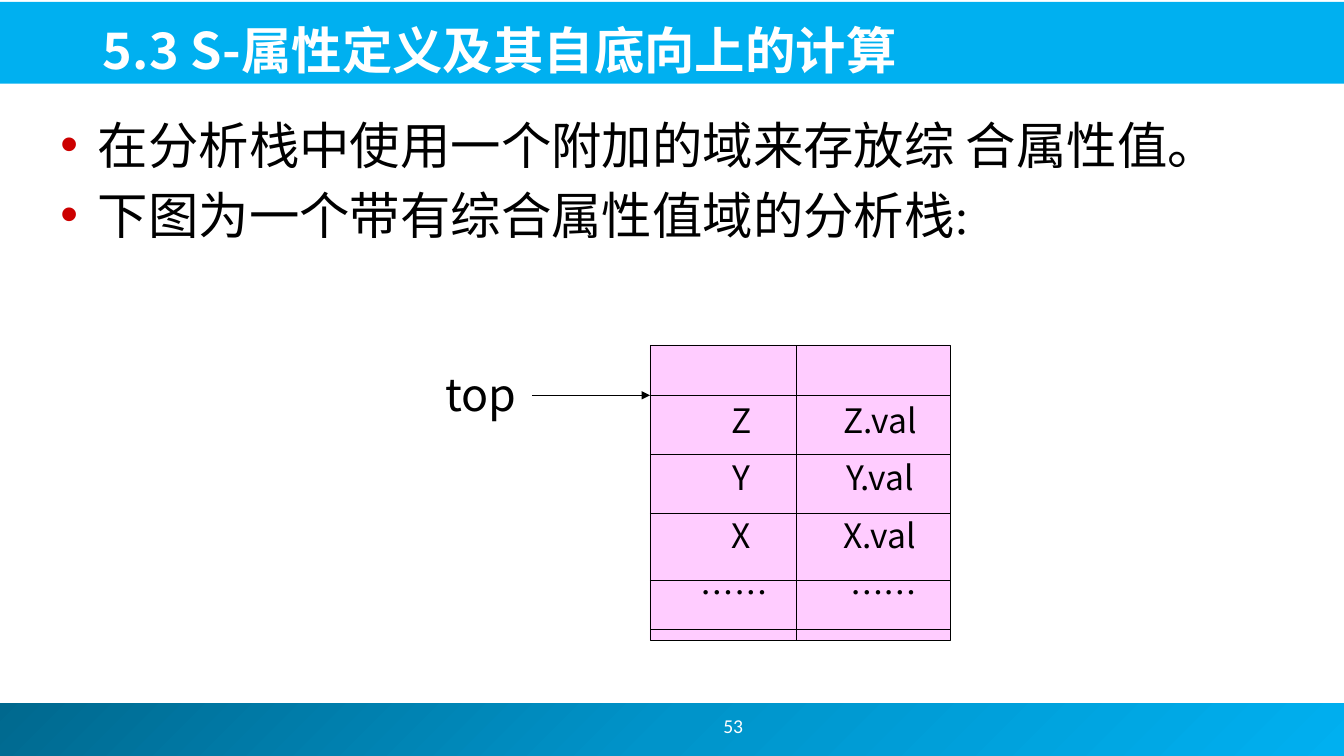
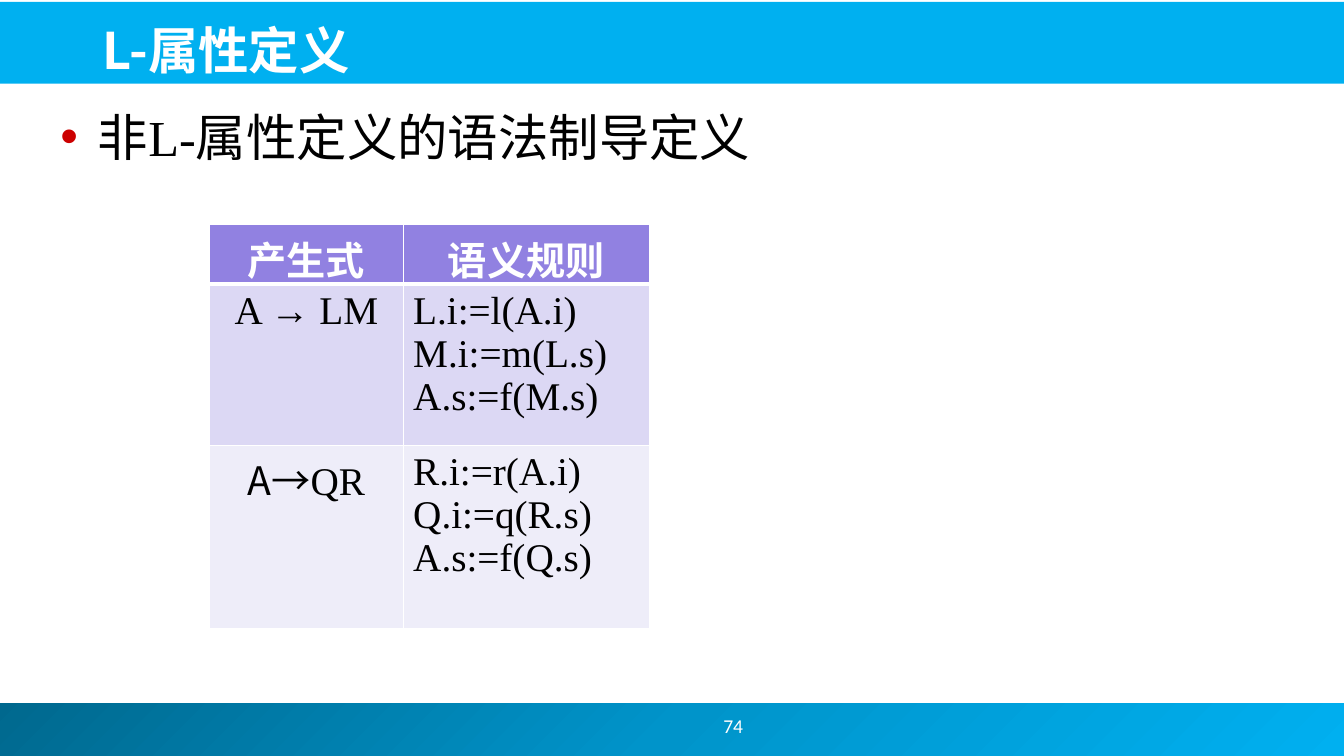
from copy import deepcopy
from dataclasses import dataclass

from lxml.etree import SubElement
from pptx import Presentation
from pptx.dml.color import RGBColor
from pptx.enum.shapes import MSO_CONNECTOR, MSO_SHAPE
from pptx.enum.text import MSO_ANCHOR, MSO_AUTO_SIZE, PP_ALIGN
from pptx.oxml.ns import qn
from pptx.util import Cm, Pt

LEFT, CENTER = PP_ALIGN.LEFT, PP_ALIGN.CENTER
TOP, MIDDLE, BOTTOM = MSO_ANCHOR.TOP, MSO_ANCHOR.MIDDLE, MSO_ANCHOR.BOTTOM
NO_AUTOFIT = MSO_AUTO_SIZE.NONE
RECTANGLE = MSO_SHAPE.RECTANGLE
STRAIGHT = MSO_CONNECTOR.STRAIGHT
TITLE_ONLY = 5


@dataclass(frozen=True)
class Theme:
    black: str = "000000"
    white: str = "FFFFFF"
    band: str = "00B0F0"
    footer: tuple = ((0, "00688E"), (0.5, "0094CA"), (1, "00B0F0"))
    bullet: str = "CC0000"
    stack: str = "FFCCFF"
    table_rows: tuple = ("9181E1", "DCD8F4", "EEEDF9")
    sans: str = "Noto Sans CJK JP"
    serif: str = "Times New Roman"
    number: str = "Calibri"
    title_pt: int = 36
    body_pt: int = 36
    pointer_pt: int = 32
    table_pt: int = 28
    stack_pt: int = 24
    number_pt: int = 14


T = Theme()


def rgb(value):
    return RGBColor.from_string(value)


def format_run(r, size, font, color=T.black, bold=False):
    r.font.size, r.font.name, r.font.bold = Pt(size), font, bold
    r.font.color.rgb = rgb(color)
    SubElement(r.font._element, qn("a:ea")).set("typeface", T.sans)


def space_before(p, percent):
    spacing = SubElement(p._p.get_or_add_pPr(), qn("a:spcBef"))
    SubElement(spacing, qn("a:spcPct")).set("val", str(percent * 1000))


def add_bullet(p):
    pPr = p._p.get_or_add_pPr()
    pPr.set("marL", str(Cm(0.95)))
    pPr.set("indent", str(-Cm(0.95)))
    color = SubElement(pPr, qn("a:buClr"))
    SubElement(color, qn("a:srgbClr")).set("val", T.bullet)
    SubElement(pPr, qn("a:buFont")).set("typeface", "Arial")
    SubElement(pPr, qn("a:buChar")).set("char", "•")


def set_text(tf, lines, size, font, color=T.black, align=LEFT, bold=False,
             gap=0, bullets=False, indents=()):
    """Fill a text frame; gap is the space between paragraphs in percent."""
    tf.text = "\n".join(lines)
    for i, p in enumerate(tf.paragraphs):
        p.alignment = align
        if gap and i:
            space_before(p, gap)
        if bullets:
            add_bullet(p)
        if indents:
            p._p.get_or_add_pPr().set("marL", str(Cm(indents[i])))
        for r in p.runs:
            format_run(r, size, font, color, bold)


def add_text(slide, box, lines, size, font, anchor=TOP, **style):
    tf = slide.shapes.add_textbox(*map(Cm, box)).text_frame
    tf.word_wrap, tf.vertical_anchor = True, anchor
    set_text(tf, lines, size, font, **style)


def add_rect(slide, box, fill=None, line=None):
    sp = slide.shapes.add_shape(RECTANGLE, *map(Cm, box))
    sp.shadow.inherit = False
    if fill:
        sp.fill.solid()
        sp.fill.fore_color.rgb = rgb(fill)
    else:
        sp.fill.background()
    if line:
        sp.line.color.rgb = rgb(line)
        sp.line.width = Pt(0.25)
    else:
        sp.line.fill.background()
    return sp


def add_line(slide, start, end, arrow=False):
    line = slide.shapes.add_connector(STRAIGHT, *map(Cm, start + end))
    line.line.color.rgb = rgb(T.black)
    line.line.width = Pt(0.75)
    if arrow:
        SubElement(line.line._get_or_add_ln(), qn("a:tailEnd")).set("type", "triangle")
    SubElement(line._element.spPr, qn("a:effectLst"))


def add_bands(slide):
    """Draw the title and footer bands and move them to the slide's layout."""
    title = add_rect(slide, (-0.05, 0.05, 33.93, 2.06), T.band)
    footer = add_rect(slide, (-0.13, 17.72, 34.01, 1.33))
    footer.fill.gradient()
    footer.fill.gradient_angle = 315
    stops = footer._element.spPr.find(".//" + qn("a:gsLst"))
    stops.insert(1, deepcopy(stops[0]))
    for stop, (position, color) in zip(footer.fill.gradient_stops, T.footer):
        stop.position = position
        stop.color.rgb = rgb(color)
    tree = slide.slide_layout.shapes.element
    for sp in (title, footer):
        tree.insert(2, sp._element)


def add_slide(prs, title, number):
    slide = prs.slides.add_slide(prs.slide_layouts[TITLE_ONLY])
    sp = slide.shapes.title
    sp.left, sp.top, sp.width, sp.height = map(Cm, (2.34, 0.13, 30.4, 2))
    tf = sp.text_frame
    tf.auto_size, tf.vertical_anchor = NO_AUTOFIT, BOTTOM
    set_text(tf, [title], T.title_pt, T.sans, T.white, bold=True)
    add_text(slide, (14.81, 17.65, 7.34, 1.27), [number], T.number_pt, T.number,
             MIDDLE, color=T.white, align=CENTER)
    return slide


def add_body(slide, box, lines):
    add_text(slide, box, lines, T.body_pt, T.serif, gap=20, bullets=True)


def add_stack(slide):
    left, middle, right = 16.38, 20.07, 23.95
    top, bottom = 8.69, 16.13
    rows = (9.96, 11.46, 12.93, 14.63)
    columns_bottom = 15.85
    add_rect(slide, (left, top, right - left, bottom - top), T.stack, T.black)
    add_line(slide, (middle, bottom), (middle, top))
    for y in rows:
        add_line(slide, (left, y), (right, y))
    columns = (
        (left, middle, ["Z", "Y", "X", "……"], (0.91, 0.91, 0.91, 0.56)),
        (middle, right, ["Z.val", "Y.val", "X.val", "……"], (0.33, 0.33, 0.33, 0.53)),
    )
    for x, end, labels, indents in columns:
        sp = add_rect(slide, (x, rows[0], end - x, columns_bottom - rows[0]), line=T.black)
        sp.text_frame.vertical_anchor = TOP
        set_text(sp.text_frame, labels, T.stack_pt, T.sans, align=CENTER,
                 gap=50, indents=indents)
    add_text(slide, (10.64, 9.12, 2.97, 1.6), ["top"], T.pointer_pt, T.sans, align=CENTER)
    add_line(slide, (13.41, rows[0]), (left, rows[0]), arrow=True)


def set_borders(cell, **widths):
    """Give a cell white borders; widths are points by side (L, R, T, B)."""
    tcPr = cell._tc.get_or_add_tcPr()
    for i, side in enumerate("LRTB"):
        ln = tcPr.makeelement(qn("a:ln" + side), {"w": str(Pt(widths.get(side, 1)))})
        fill = SubElement(ln, qn("a:solidFill"))
        SubElement(fill, qn("a:srgbClr")).set("val", T.white)
        tcPr.insert(i, ln)


def add_rules_table(slide):
    rows = (
        (["产生式"], ["语义规则"]),
        (["A → LM"], ["L.i:=l(A.i)", "M.i:=m(L.s)", "A.s:=f(M.s)"]),
        (["A→QR"], ["R.i:=r(A.i)", "Q.i:=q(R.s)", "A.s:=f(Q.s)"]),
    )
    widths, heights = (4.88, 6.2), (1.5, 4.06, 4.62)
    table = slide.shapes.add_table(
        len(rows), len(widths), Cm(5.28), Cm(5.66), Cm(sum(widths)), Cm(sum(heights))).table
    for column, width in zip(table.columns, widths):
        column.width = Cm(width)
    for i, (row, height) in enumerate(zip(rows, heights)):
        table.rows[i].height = Cm(height)
        header = i == 0
        for j, lines in enumerate(row):
            cell = table.cell(i, j)
            cell.fill.solid()
            cell.fill.fore_color.rgb = rgb(T.table_rows[i])
            set_borders(cell, T=3 if i == 1 else 1, B=3 if header else 1)
            set_text(cell.text_frame, lines, T.table_pt, T.sans if header else T.serif,
                     T.white if header else T.black,
                     CENTER if header or j == 0 else LEFT, bold=header)
    p = table.cell(2, 0).text_frame.paragraphs[0]
    p.runs[0].text = "A→"
    p.runs[0].font.name = T.sans
    r = p.add_run()
    r.text = "QR"
    format_run(r, T.table_pt, T.serif)


def main():
    prs = Presentation()
    prs.slide_width, prs.slide_height = Cm(33.87), Cm(19.05)

    slide = add_slide(prs, "5.3 S-属性定义及其自底向上的计算", "53")
    add_bands(slide)
    add_body(slide, (1.27, 2.74, 31.47, 4.88),
             ["在分析栈中使用一个附加的域来存放综 合属性值。",
              "下图为一个带有综合属性值域的分析栈:"])
    add_stack(slide)

    slide = add_slide(prs, "L-属性定义", "74")
    add_body(slide, (1.27, 2.54, 23.7, 1.7), ["非L-属性定义的语法制导定义"])
    add_rules_table(slide)

    prs.save("out.pptx")


if __name__ == "__main__":
    main()
